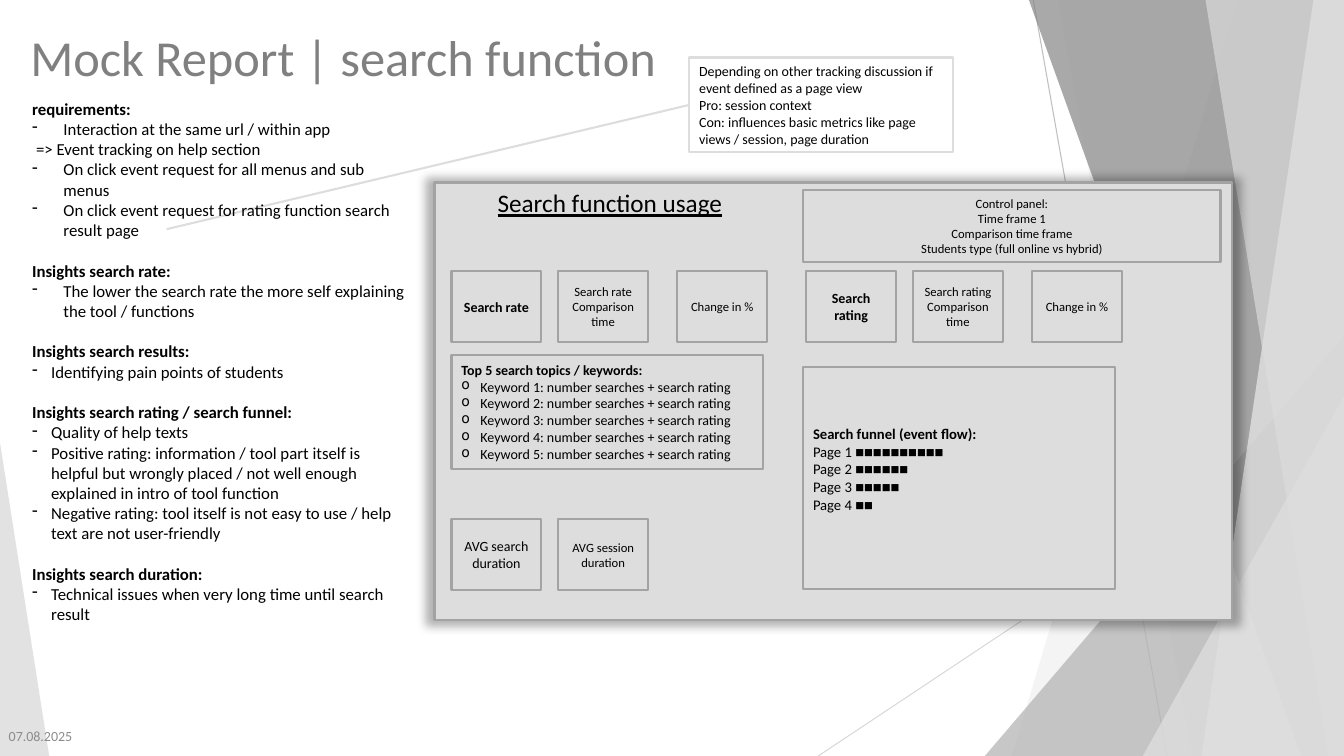
from lxml import etree
from pptx import Presentation
from pptx.dml.color import RGBColor
from pptx.enum import shapes, text
from pptx.oxml.ns import qn
from pptx.util import Cm, Pt

WIDTH, HEIGHT = 33.87, 19.05
LIGHT, EDGE = "DDDDDD", "A3A3A3"
LEFT, CENTER = text.PP_ALIGN.LEFT, text.PP_ALIGN.CENTER
TOP, MIDDLE = text.MSO_ANCHOR.TOP, text.MSO_ANCHOR.MIDDLE
RECTANGLE = shapes.MSO_SHAPE.RECTANGLE

RAYS = [
    (26.04, 0, 29.41, HEIGHT, "BFBFBF"),
    (WIDTH, 10.24, 20.62, HEIGHT, "D9D9D9"),
]
FACETS = [
    ("band", (31.19, 25.5), LIGHT, 30),
    ("band", (26.67, 30.05), LIGHT, 20),
    ("triangle", (24.82, 8.46, 9.05, 10.59, 1), "B2B2B2", 72),
    ("band", (25.93, 32.79), "858585", 70),
    ("band", (33.1, 30.28), "EBEBEB", 70),
    ("band", (30.38, 33.48), LIGHT, 65),
    ("triangle", (28.8, 9.98, 5.07, 9.07, 1), LIGHT, 80),
    ("triangle", (0, 11.15, 1.24, 7.9, 0), LIGHT, 85),
]
TITLE = "Mock Report | search function"
DATE = "07.08.2025"
CALLOUT = [
    "Depending on other tracking discussion if event defined as a page view",
    "Pro: session context",
    "Con: influences basic metrics like page views / session, page duration",
]
ARROW_MARK = "=>"
SECTIONS = [
    ("requirements:", 0.79, [
        "Interaction at the same url / within app",
        "=> Event tracking on help section",
        "On click event request for all menus and sub menus",
        "On click event request for rating function search result page",
    ]),
    ("Insights search rate:", 0.79, [
        "The lower the search rate the more self explaining the tool / functions",
    ]),
    ("Insights search results:", 0.48, ["Identifying pain points of students"]),
    ("Insights search rating / search funnel:", 0.48, [
        "Quality of help texts",
        "Positive rating: information / tool part itself is helpful but wrongly placed"
        " / not well enough explained in intro of tool function",
        "Negative rating: tool itself is not easy to use / help text are not user-friendly",
    ]),
    ("Insights search duration:", 0.48, [
        "Technical issues when very long time until search result",
    ]),
]
CONTROLS = [
    "Control panel:", "Time frame 1", "Comparison time frame",
    "Students type (full online vs hybrid)",
]
MEASURES = ["Search rate", "Search rating"]
AVERAGES = [("AVG search duration", 10), ("AVG session duration", 9)]
FUNNEL = [("Page 1 ", 10), ("Page 2 ", 6), ("Page 3 ", 5), ("Page 4 ", 2)]
CARD_COLUMNS = [11.38, 14.07, 17.07]
GROUP_STEP = 8.94


def color(value):
    return RGBColor.from_string(value)


def write(paragraph, content, size=10, font="Calibri", ink="000000", bold=False,
          underline=False, align=LEFT, bullet=None, indent=0, before=0):
    run = paragraph.add_run()
    run.text = content
    run.font.size, run.font.name = Pt(size), font
    run.font.bold, run.font.underline = bold, underline
    run.font.color.rgb = color(ink)
    paragraph.alignment = align
    paragraph.space_before = Pt(before)
    properties = paragraph._p.get_or_add_pPr()
    if indent:
        properties.set("marL", str(Cm(indent)))
    if bullet:
        properties.set("indent", str(-Cm(indent)))
        etree.SubElement(properties, qn("a:buChar")).set("char", bullet)


def next_paragraph(frame):
    first = frame.paragraphs[0]
    return frame.add_paragraph() if first.runs else first


def write_lines(frame, lines, **style):
    for line in lines:
        write(next_paragraph(frame), line, **style)


def paint(shape, fill, line=None, opacity=100):
    shape.shadow.inherit = False
    shape.fill.solid()
    shape.fill.fore_color.rgb = color(fill)
    if opacity < 100:
        tint = shape._element.spPr.find(".//" + qn("a:srgbClr"))
        etree.SubElement(tint, qn("a:alpha")).set("val", str(opacity * 1000))
    if line:
        shape.line.color.rgb = color(line)
        shape.line.width = Pt(1.5)
    else:
        shape.line.fill.background()


def add_box(slide, left, top, width, height, kind=RECTANGLE, fill=LIGHT, line=EDGE):
    shape = slide.shapes.add_shape(kind, Cm(left), Cm(top), Cm(width), Cm(height))
    paint(shape, fill, line)
    shape.text_frame.word_wrap = True
    shape.text_frame.vertical_anchor = MIDDLE
    return shape


def add_label(slide, left, top, width, height, anchor=TOP):
    frame = slide.shapes.add_textbox(Cm(left), Cm(top), Cm(width), Cm(height)).text_frame
    frame.word_wrap = True
    frame.vertical_anchor = anchor
    return frame


def add_card(slide, left, top, lines, **style):
    card = add_box(slide, left, top, 2.26, 1.8)
    write_lines(card.text_frame, lines, align=CENTER, **style)


def add_backdrop(slide):
    for x1, y1, x2, y2, tone in RAYS:
        ray = slide.shapes.add_connector(
            shapes.MSO_CONNECTOR.STRAIGHT, Cm(x1), Cm(y1), Cm(x2), Cm(y2))
        ray.line.color.rgb = color(tone)
        ray.line.width = Pt(0.75)
        etree.SubElement(ray._element.spPr, qn("a:effectLst"))
    for kind, place, tone, opacity in FACETS:
        if kind == "band":
            top_x, bottom_x = place
            builder = slide.shapes.build_freeform(Cm(top_x), 0)
            corners = [(WIDTH, 0), (WIDTH, HEIGHT), (bottom_x, HEIGHT)]
            builder.add_line_segments([(Cm(x), Cm(y)) for x, y in corners], close=True)
            facet = builder.convert_to_shape()
        else:
            *box, apex = place
            facet = add_box(slide, *box, kind=shapes.MSO_SHAPE.ISOSCELES_TRIANGLE)
            facet.adjustments[0] = apex
        paint(facet, tone, opacity=opacity)


def add_notes_column(slide):
    frame = add_label(slide, 0.56, 2.36, 10.01, 14.1)
    for number, (heading, indent, items) in enumerate(SECTIONS):
        write(next_paragraph(frame), heading, size=12, bold=True,
              before=14.65 if number else 0)
        for item in items:
            marked = item.startswith(ARROW_MARK)
            write(next_paragraph(frame), item, size=12,
                  bullet=None if marked else "-", indent=0.1 if marked else indent)


def add_dashboard(slide):
    panel = add_box(slide, 10.95, 4.6, 20.09, 11.02)
    effects = panel._element.spPr.find(qn("a:effectLst"))
    halo = etree.SubElement(effects, qn("a:outerShdw"), blurRad=str(Cm(0.25)),
                            sx="102000", sy="102000", algn="ctr", rotWithShape="0")
    tint = etree.SubElement(halo, qn("a:srgbClr"), val="000000")
    etree.SubElement(tint, qn("a:alpha"), val="30000")

    heading = add_label(slide, 12.29, 4.6, 7.8, 1.02)
    write_lines(heading, ["Search function usage"], size=18, underline=True)
    controls = add_box(slide, 20.24, 4.78, 10.52, 1.83)
    write_lines(controls.text_frame, CONTROLS, size=9, align=CENTER)

    for group, measure in enumerate(MEASURES):
        current, comparison, change = [x + group * GROUP_STEP for x in CARD_COLUMNS]
        add_card(slide, current, 6.83, [measure], bold=True)
        add_card(slide, comparison, 6.83, [measure, "Comparison time"], size=9)
        add_card(slide, change, 6.83, ["Change in %"], size=9)
    for left, (label, size) in zip(CARD_COLUMNS, AVERAGES):
        add_card(slide, left, 13.08, [label], size=size)

    keywords = add_box(slide, 11.38, 8.94, 7.85, 2.87).text_frame
    write_lines(keywords, ["Top 5 search topics / keywords:"], bold=True)
    write_lines(keywords,
                [f"Keyword {n}: number searches + search rating" for n in range(1, 6)],
                bullet="o", indent=0.48)

    funnel = add_box(slide, 20.24, 9.25, 7.85, 5.59).text_frame
    funnel.margin_bottom = Cm(0.58)
    write_lines(funnel, ["Search funnel (event flow):"], size=10.5, bold=True)
    for page, count in FUNNEL:
        paragraph = next_paragraph(funnel)
        write(paragraph, page, size=10.5)
        write(paragraph, "■" * count, size=10.5, font="Arial")


def main():
    presentation = Presentation()
    presentation.slide_width, presentation.slide_height = Cm(WIDTH), Cm(HEIGHT)
    slide = presentation.slides.add_slide(presentation.slide_layouts[5])
    add_backdrop(slide)

    callout = add_box(slide, 17.37, 1.45, 6.65, 2.39,
                      kind=shapes.MSO_SHAPE.LINE_CALLOUT_1, fill="FFFFFF", line=LIGHT)
    for index, value in enumerate([0.5, 0, 1.81, -1.98]):
        callout.adjustments[index] = value
    write_lines(callout.text_frame, CALLOUT)

    title = slide.shapes.title
    title.left, title.top, title.width, title.height = Cm(0.51), Cm(0.53), Cm(23.88), Cm(3.66)
    title.text_frame.auto_size = text.MSO_AUTO_SIZE.NONE
    title.text_frame.vertical_anchor = TOP
    write_lines(title.text_frame, [TITLE], size=36, ink="808080")

    add_dashboard(slide)
    add_notes_column(slide)
    write_lines(add_label(slide, -0.03, 18.03, 2.54, 1.02, MIDDLE), [DATE], ink="8C8C8C")
    presentation.save("out.pptx")


if __name__ == "__main__":
    main()
